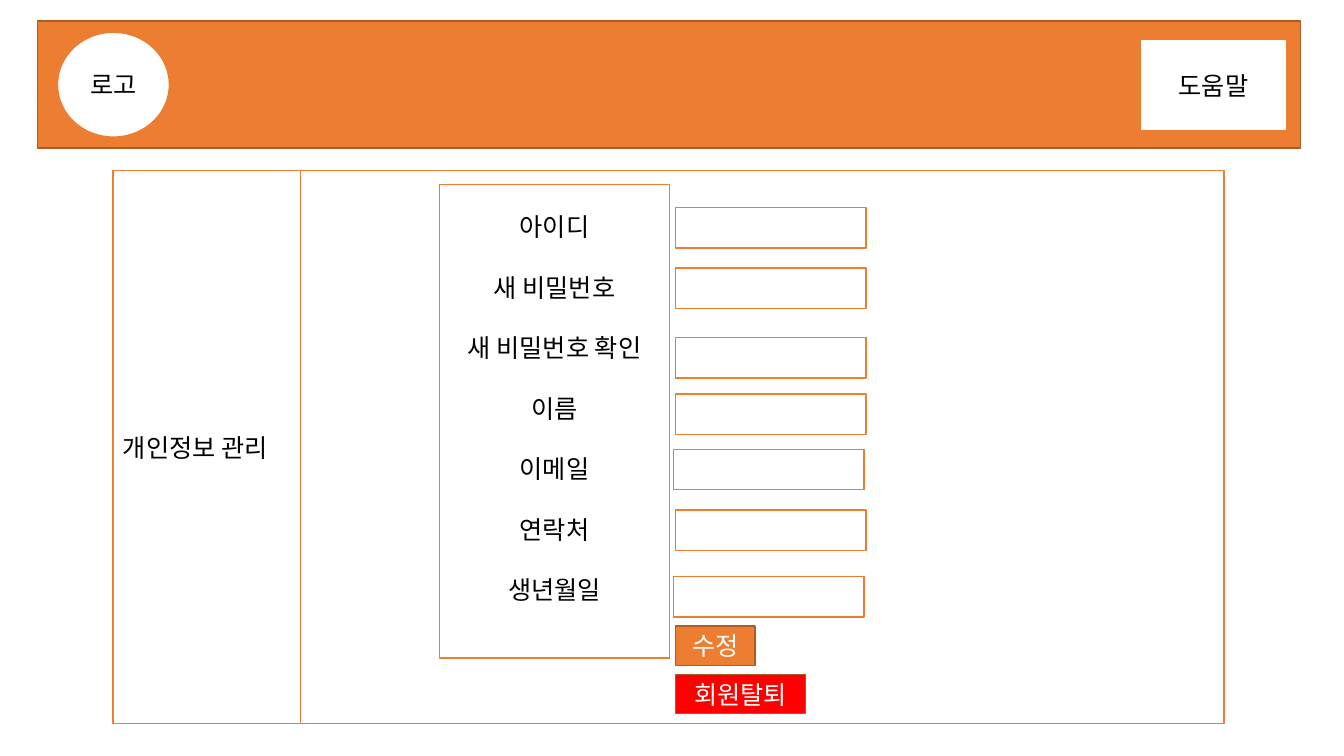
"""Build the personal information management screen wireframe."""
from pptx import Presentation, util as u
from pptx.dml.color import RGBColor
from pptx.enum import shapes, text as t

ORANGE = RGBColor(0xED, 0x7D, 0x31)
BROWN = RGBColor(0xAF, 0x5C, 0x24)
RED = RGBColor(0xFF, 0, 0)
WHITE = RGBColor(0xFF, 0xFF, 0xFF)
BLACK = RGBColor(0, 0, 0)
FONT = "Noto Sans CJK KR"
FIELD_LEFT, FIELD_WIDTH, FIELD_HEIGHT = 6.7, 1.89, 0.4
BUTTON_HEIGHT = 0.39
LABEL_LINE = u.Pt(21.6)

deck = Presentation()
deck.slide_width, deck.slide_height = u.Inches(13.33), u.Inches(7.5)
page = deck.slides.add_slide(deck.slide_layouts[6])


def add_box(text, at, kind=shapes.MSO_SHAPE.RECTANGLE, fill=WHITE, line=ORANGE,
            color=BLACK, align=t.PP_ALIGN.CENTER):
    box = page.shapes.add_shape(kind, *[u.Inches(length) for length in at])
    box.shadow.inherit = False
    box.fill.solid()
    box.fill.fore_color.rgb = fill
    box.line.color.rgb = line
    box.line.width = u.Pt(1)
    frame = box.text_frame
    frame.word_wrap = True
    frame.vertical_anchor = t.MSO_ANCHOR.MIDDLE
    frame.text = text
    for para in frame.paragraphs:
        para.alignment = align
        for span in para.runs:
            span.font.name = FONT
            span.font.size = u.Pt(18)
            span.font.color.rgb = color
    return box


add_box("", (0.37, 0.21, 12.53, 1.26), fill=ORANGE, line=BROWN)
add_box("로고", (0.57, 0.32, 1.11, 1.04), kind=shapes.MSO_SHAPE.OVAL)
add_box("도움말", (11.31, 0.39, 1.45, 0.91))

add_box("", (1.13, 1.69, 11.01, 5.49))
add_box("개인정보 관리", (1.12, 1.69, 1.86, 5.49), align=t.PP_ALIGN.LEFT)

fields = [
    ("아이디", 2.06, 0),
    ("새 비밀번호", 2.66, 0),
    ("새 비밀번호 확인", 3.35, 0),
    ("이름", 3.91, 0),
    ("이메일", 4.46, -0.02),
    ("연락처", 5.06, 0),
    ("생년월일", 5.72, -0.02),
]
labels = add_box("\n".join(label for label, top, shift in fields),
                 (4.36, 1.83, 2.28, 4.7)).text_frame
labels.vertical_anchor = t.MSO_ANCHOR.TOP
labels.margin_top = u.Inches(0.27)
for row, para in enumerate(labels.paragraphs):
    para.line_spacing = LABEL_LINE
    para.space_before = LABEL_LINE if row else u.Pt(0)

for label, top, shift in fields:
    add_box("", (FIELD_LEFT + shift, top, FIELD_WIDTH, FIELD_HEIGHT))

for caption, top, width, fill in [("수정", 6.21, 0.79, ORANGE),
                                  ("회원탈퇴", 6.69, 1.29, RED)]:
    add_box(caption, (FIELD_LEFT, top, width, BUTTON_HEIGHT),
            fill=fill, line=BROWN, color=WHITE)

deck.save("out.pptx")
